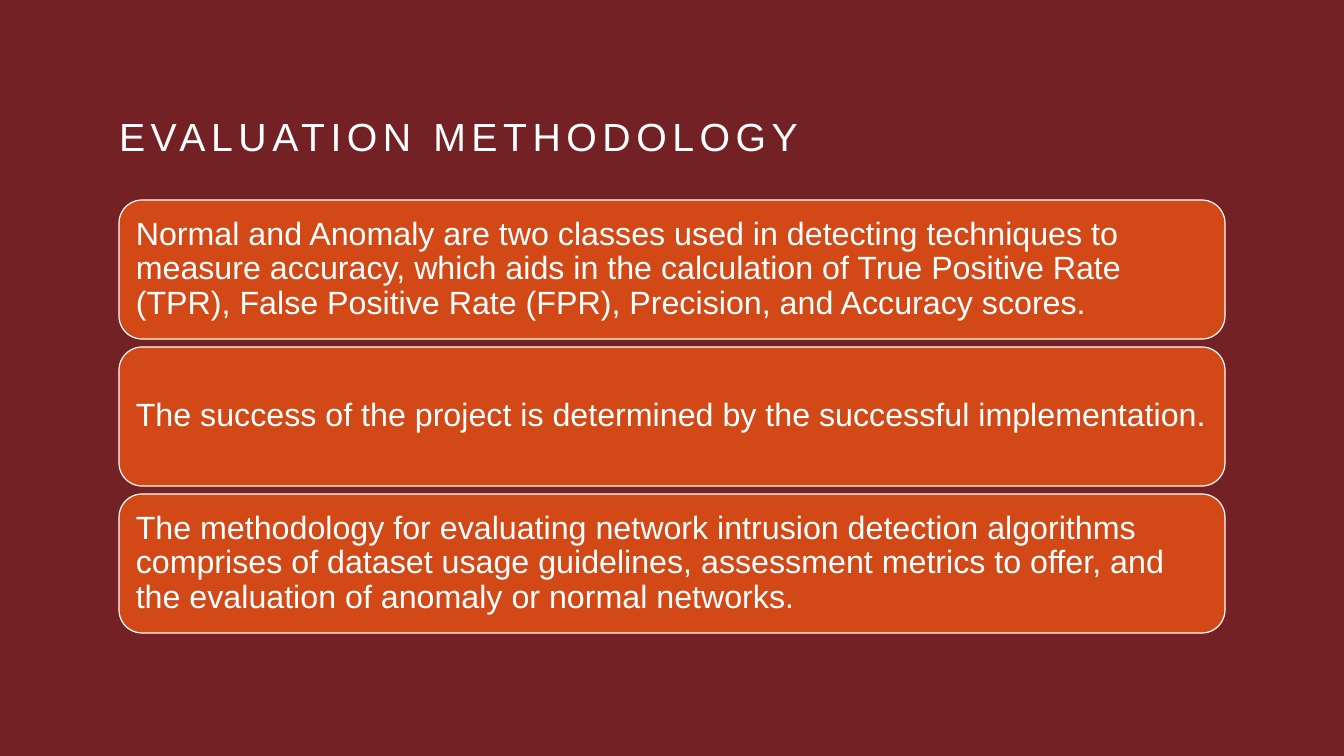
from pptx import Presentation, util as u
from pptx.dml.color import RGBColor
from pptx.enum import shapes, text

PX = 914400 / 100.8


def px(n):
    return u.Emu(round(n * PX))


def color(value):
    return RGBColor.from_string(value)


WHITE = "FFFFFF"
LEFT, WIDTH = 119, 1106
CARD_TOP, CARD_HEIGHT, CARD_STEP = 200, 139, 147
INSET = 10
POINTS = [
    "Normal and Anomaly are two classes used in detecting techniques to measure accuracy, "
    "which aids in the calculation of True Positive Rate (TPR), False Positive Rate (FPR), "
    "Precision, and Accuracy scores.",
    "The success of the project is determined by the successful implementation.",
    "The methodology for evaluating network intrusion detection algorithms comprises of "
    "dataset usage guidelines, assessment metrics to offer, and the evaluation of anomaly "
    "or normal networks.",
]

prs = Presentation()
prs.slide_width, prs.slide_height = px(1344), px(756)
s = prs.slides.add_slide(prs.slide_layouts[6])
s.background.fill.solid()
s.background.fill.fore_color.rgb = color("732124")

title = s.shapes.add_textbox(px(LEFT), px(112), px(WIDTH), px(73))
tf = title.text_frame
tf.word_wrap = True
tf.margin_left = tf.margin_right = tf.margin_top = tf.margin_bottom = 0
p = tf.paragraphs[0]
r = p.add_run()
r.text = "EVALUATION METHODOLOGY"
r.font.name, r.font.size = "Arial", u.Pt(28)
r.font.color.rgb = color(WHITE)
r.font._element.set("spc", "400")

for i, point in enumerate(POINTS):
    sp = s.shapes.add_shape(
        shapes.MSO_SHAPE.ROUNDED_RECTANGLE,
        px(LEFT), px(CARD_TOP + i * CARD_STEP), px(WIDTH), px(CARD_HEIGHT),
    )
    sp.shadow.inherit = False
    sp.fill.solid()
    sp.fill.fore_color.rgb = color("D34817")
    sp.line.color.rgb = color(WHITE)
    sp.line.width = u.Pt(0.85)
    tf = sp.text_frame
    tf.word_wrap = True
    tf.vertical_anchor = text.MSO_ANCHOR.MIDDLE
    tf.margin_left = tf.margin_right = tf.margin_top = tf.margin_bottom = px(INSET)
    p = tf.paragraphs[0]
    p.text = point
    p.alignment = text.PP_ALIGN.LEFT
    p.line_spacing = 0.9
    p.font.name, p.font.size = "Arial", u.Pt(23)
    p.font.color.rgb = color(WHITE)

prs.save("out.pptx")
